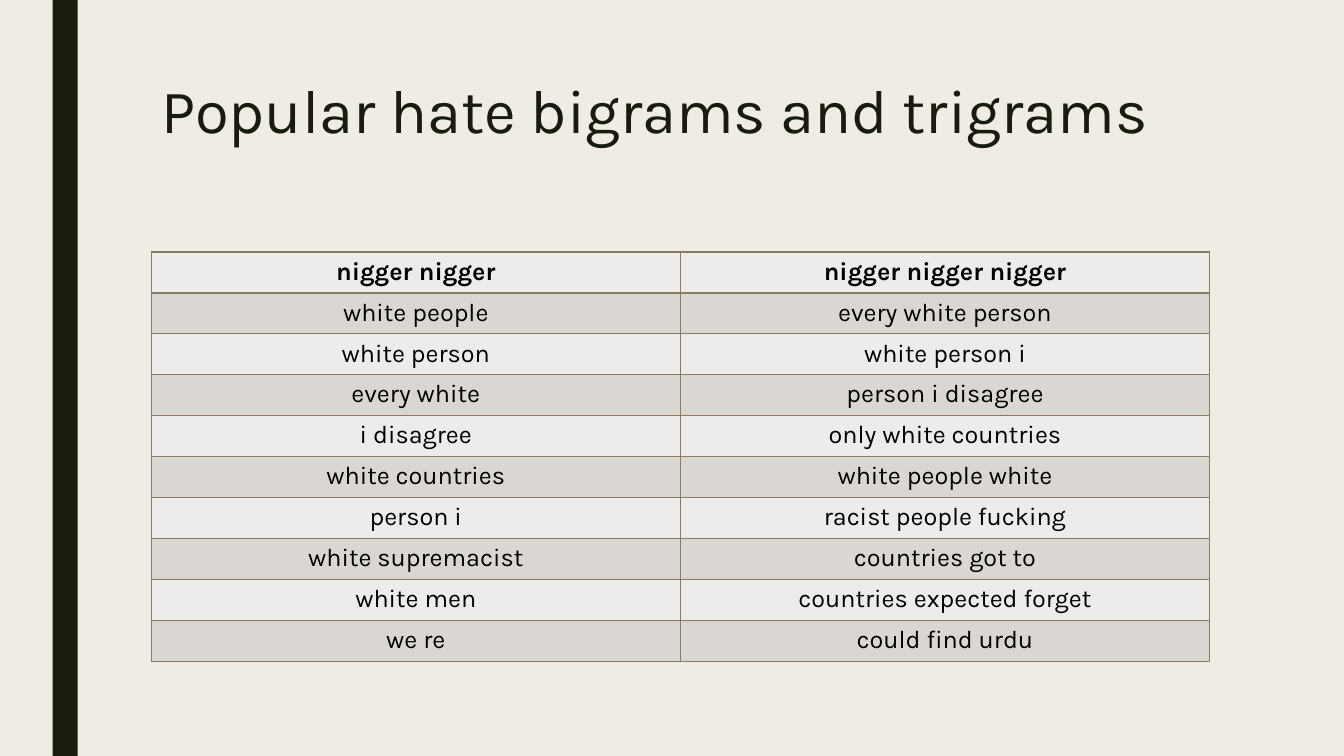
from lxml.etree import SubElement
from pptx import Presentation
from pptx.dml.color import RGBColor
from pptx.enum.shapes import MSO_SHAPE
from pptx.enum.text import MSO_ANCHOR, PP_ALIGN
from pptx.oxml.ns import qn
from pptx.util import Emu, Pt

PX = 9525
FONT = "Karla"
CREAM = RGBColor(0xEF, 0xED, 0xE3)
DARK = RGBColor(0x19, 0x1B, 0x0E)
BLACK = RGBColor(0, 0, 0)
BROWN = RGBColor(0x89, 0x7B, 0x61)
BANDS = (RGBColor(0xED, 0xEC, 0xEA), RGBColor(0xDA, 0xD7, 0xD2))

PAGE_SIZE = (1280, 720)
BAR_BOX = (50, 0, 24, 720)
TITLE_BOX = (144, 72, 1008, 156)
TABLE_BOX = (144, 240, 1008, 390)

NGRAMS = [
    ("nigger nigger", "nigger nigger nigger"),
    ("white people", "every white person"),
    ("white person", "white person i"),
    ("every white", "person i disagree"),
    ("i disagree", "only white countries"),
    ("white countries", "white people white"),
    ("person i", "racist people fucking"),
    ("white supremacist", "countries got to"),
    ("white men", "countries expected forget"),
    ("we re", "could find urdu"),
]


def emu(lengths):
    """Turn px lengths into EMU."""
    return [Emu(length * PX) for length in lengths]


def style_paragraph(para, size, color, bold=False):
    """Set the font of a whole paragraph."""
    para.font.name = FONT
    para.font.size = Pt(size)
    para.font.color.rgb = color
    para.font.bold = bold


def add_side_bar(page, box):
    """Draw the dark vertical bar."""
    bar = page.shapes.add_shape(MSO_SHAPE.RECTANGLE, *emu(box))
    bar.shadow.inherit = False
    bar.fill.solid()
    bar.fill.fore_color.rgb = DARK
    bar.line.fill.background()


def fill_title(page, box, text):
    """Place and format the title placeholder."""
    title = page.shapes.title
    title.left, title.top, title.width, title.height = emu(box)
    frame = title.text_frame
    frame.text = text
    frame.word_wrap = True
    frame.vertical_anchor = MSO_ANCHOR.TOP
    para = frame.paragraphs[0]
    para.alignment = PP_ALIGN.LEFT
    para.line_spacing = 0.89
    style_paragraph(para, 44, DARK)


def add_borders(cell):
    """Give a cell a thin line on all four sides."""
    properties = cell._tc.get_or_add_tcPr()
    for side in ("a:lnL", "a:lnR", "a:lnT", "a:lnB"):
        line = SubElement(properties, qn(side), w=str(Pt(1)))
        fill = SubElement(line, qn("a:solidFill"))
        SubElement(fill, qn("a:srgbClr"), val=str(BROWN))


def add_ngram_table(page, box, rows):
    """Build the banded table, its rows sharing the height of the box."""
    table = page.shapes.add_table(len(rows), len(rows[0]), *emu(box)).table
    for row_index, texts in enumerate(rows):
        table.rows[row_index].height = Emu(box[3] * PX // len(rows))
        for column_index, text in enumerate(texts):
            cell = table.cell(row_index, column_index)
            add_borders(cell)
            cell.fill.solid()
            cell.fill.fore_color.rgb = BANDS[row_index % 2]
            cell.text = text
            para = cell.text_frame.paragraphs[0]
            para.alignment = PP_ALIGN.CENTER
            style_paragraph(para, 18, BLACK, bold=row_index == 0)


def main():
    """Build the deck and save it."""
    deck = Presentation()
    deck.slide_width, deck.slide_height = emu(PAGE_SIZE)
    page = deck.slides.add_slide(deck.slide_layouts[5])
    page.background.fill.solid()
    page.background.fill.fore_color.rgb = CREAM
    add_side_bar(page, BAR_BOX)
    fill_title(page, TITLE_BOX, "Popular hate bigrams and trigrams")
    add_ngram_table(page, TABLE_BOX, NGRAMS)
    deck.save("out.pptx")


if __name__ == "__main__":
    main()
